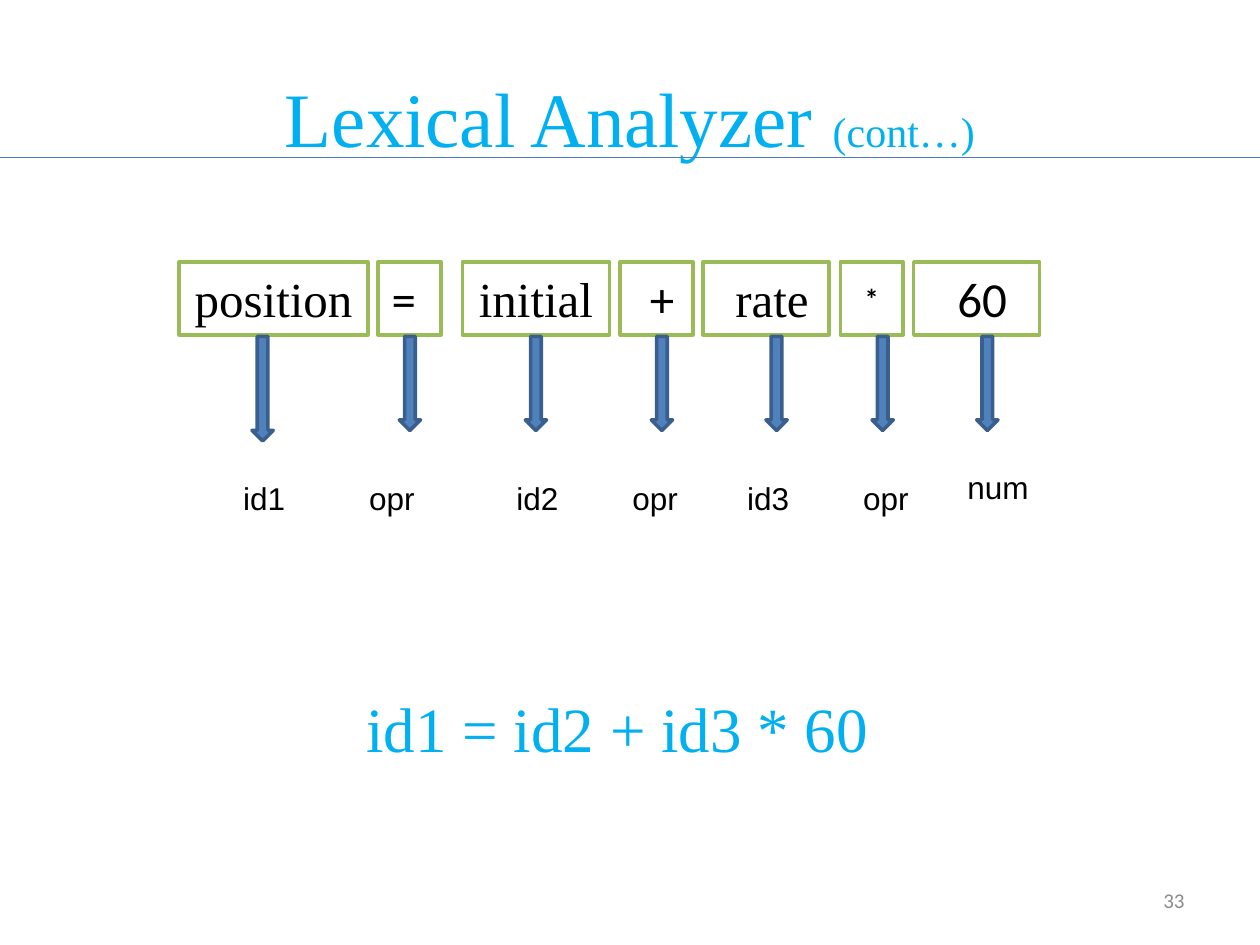
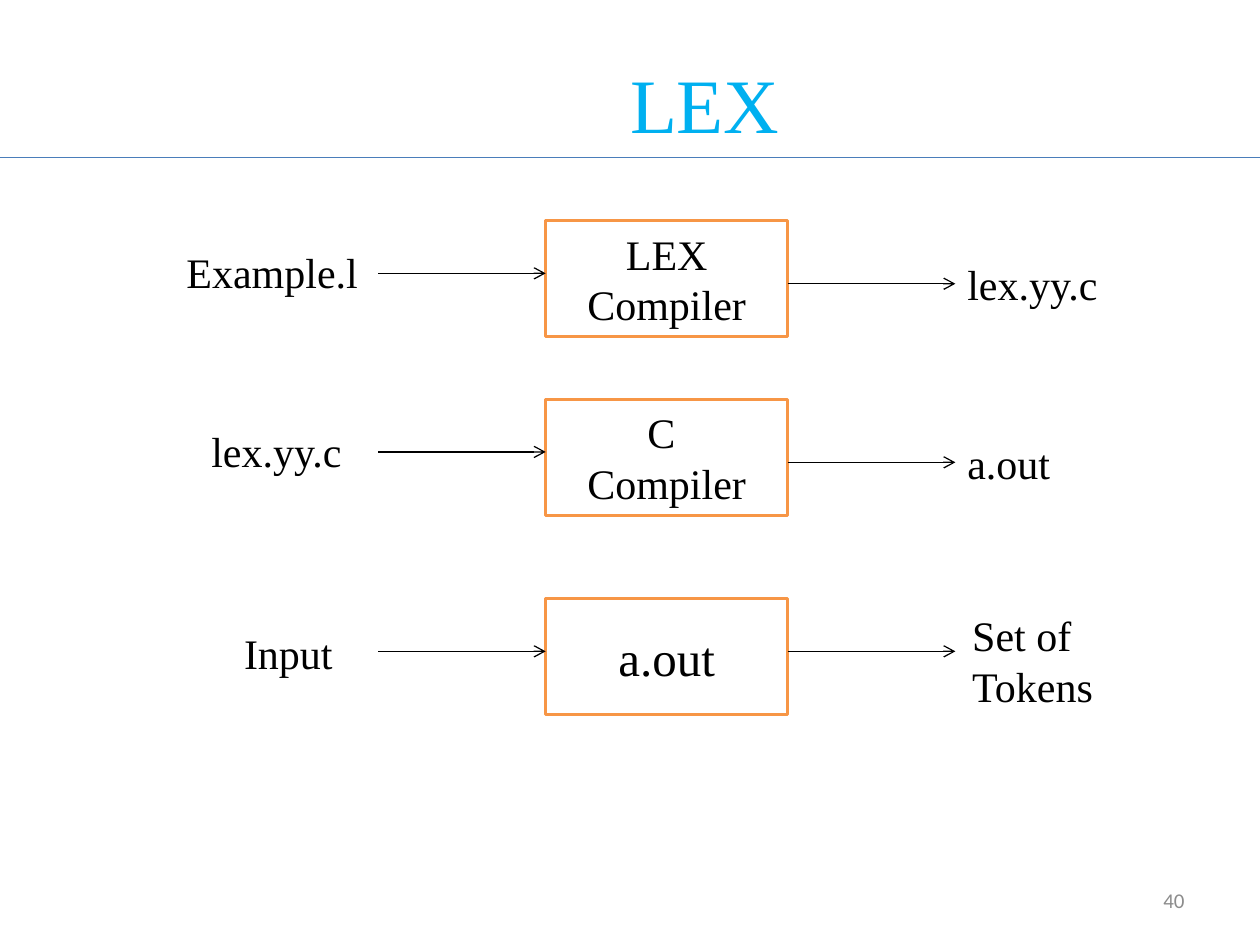
from dataclasses import dataclass
from lxml.etree import SubElement
from pptx import Presentation
from pptx.dml.color import RGBColor
from pptx.enum.shapes import MSO_CONNECTOR as Connector, MSO_SHAPE as Preset
from pptx.enum.text import MSO_ANCHOR as Anchor, PP_ALIGN as Align
from pptx.oxml.ns import qn
from pptx.util import Cm, Pt


@dataclass(frozen=True)
class Theme:
    accent: str = "00B0F0"
    text: str = "000000"
    paper: str = "FFFFFF"
    muted: str = "8C8C8C"
    rule: str = "4A7DBA"
    token: str = "9BBB59"
    stage: str = "F79646"
    arrow: str = "4F81BD"
    arrow_edge: str = "3A5F8C"
    serif: str = "Times New Roman"
    plain: str = "Calibri"
    label: str = "Arial"
    title_size: int = 44
    formula_size: int = 36
    large: int = 28
    body: int = 24
    label_size: int = 18
    number_size: int = 12
    outline: float = 2
    hairline: float = 0.75


theme = Theme()

# Content, with places in centimetres
# Tokens: text, font, box left, box width, arrow left, label, label left, label width
tokens = [
    ("position", theme.serif, 3.61, 3.81, 5.08, "id1", 4.65, 1.47),
    ("= ", theme.plain, 7.62, 1.27, 8.05, "opr", 7.19, 1.9),
    ("initial", theme.serif, 9.32, 2.97, 10.59, "id2", 10.16, 1.47),
    (" +", theme.plain, 12.5, 1.47, 13.13, "opr", 12.5, 1.47),
    (" rate", theme.serif, 14.17, 2.54, 15.44, "id3", 14.81, 1.47),
    ("*", theme.plain, 16.94, 1.27, 17.58, "opr", 17.15, 1.47),
    (" 60", theme.plain, 18.42, 2.54, 19.69, "num", 19.25, 1.9),
]
formula = " id1 = id2 + id3 * 60"

# Stages: box top, box text, text size, drop of the outgoing arrow,
# then input and output as text, left, top, width, height
stages = [
    (4.45, "LEX Compiler", theme.body, 1.27,
     ("Example.l", 3.51, 4.85, 4.24, 1.27), ("lex.yy.c", 19.25, 5.08, 3.81, 1.27)),
    (8.05, "C \nCompiler", theme.body, 1.27,
     ("lex.yy.c", 4.01, 8.46, 3.81, 1.27), ("a.out", 19.25, 8.69, 3.81, 1.27)),
    (12.07, "a.out", theme.large, 1.06,
     ("Input", 4.67, 12.52, 3.81, 1.27), ("Set of Tokens", 19.35, 12.17, 5.08, 2.31)),
]


def color(value):
    return RGBColor.from_string(value)


def style_run(run, font, size, ink):
    run.font.name, run.font.size = font, Pt(size)
    run.font.color.rgb = color(ink)


def write(shape, text, font, size, ink=theme.text, align=Align.LEFT, anchor=Anchor.TOP):
    frame = shape.text_frame
    frame.word_wrap = True
    frame.vertical_anchor = anchor
    frame.text = text
    for paragraph in frame.paragraphs:
        paragraph.alignment = align
        for run in paragraph.runs:
            style_run(run, font, size, ink)
    return shape


def add_text(slide, place, text, font, size, **options):
    box = slide.shapes.add_textbox(*map(Cm, place))
    return write(box, text, font, size, **options)


def add_block(slide, preset, place, fill, line):
    shape = slide.shapes.add_shape(preset, *map(Cm, place))
    shape.shadow.inherit = False
    shape.fill.solid()
    shape.fill.fore_color.rgb = color(fill)
    shape.line.color.rgb = color(line)
    shape.line.width = Pt(theme.outline)
    return shape


def add_box(slide, place, line, text, font, size):
    box = add_block(slide, Preset.RECTANGLE, place, theme.paper, line)
    return write(box, text, font, size, align=Align.CENTER, anchor=Anchor.MIDDLE)


def add_line(slide, left, right, y, ink, arrow=False):
    line = slide.shapes.add_connector(Connector.STRAIGHT, Cm(left), Cm(y), Cm(right), Cm(y))
    line.line.color.rgb = color(ink)
    line.line.width = Pt(theme.hairline)
    properties = line._element.spPr
    if arrow:
        SubElement(properties.find(qn("a:ln")), qn("a:tailEnd"), type="arrow")
    SubElement(properties, qn("a:effectLst"))


def add_slide(title, title_place, number):
    """Start a slide with the shared title, rule and page number."""
    slide = presentation.slides.add_slide(presentation.slide_layouts[6])
    heading = add_text(slide, title_place, title, theme.serif, theme.title_size,
                       ink=theme.accent, align=Align.CENTER, anchor=Anchor.MIDDLE)
    add_line(slide, 0, 25.4, 3.18, theme.rule)
    add_text(slide, (18.2, 17.65, 5.93, 1.01), number, theme.plain, theme.number_size,
             ink=theme.muted, align=Align.RIGHT, anchor=Anchor.MIDDLE)
    return slide, heading


presentation = Presentation()
presentation.slide_width, presentation.slide_height = Cm(25.4), Cm(19.05)

# Tokens of the statement
slide, heading = add_slide("Lexical Analyzer ", (1.27, 0.76, 22.86, 3.18), "33")
suffix = heading.text_frame.paragraphs[0].add_run()
suffix.text = "(cont…)"
style_run(suffix, theme.serif, theme.body, theme.accent)

for text, font, left, width, arrow_left, label, label_left, label_width in tokens:
    box = add_box(slide, (left, 5.28, width, 1.47), theme.token, text, font, theme.large)
    if text == "*":
        star = box.text_frame.paragraphs[0].runs[0].font
        star.bold = True
        star._element.set("baseline", "18000")
    arrow_height = 2.11 if label == "id1" else 1.9
    add_block(slide, Preset.DOWN_ARROW, (arrow_left, 6.78, 0.43, arrow_height),
              theme.arrow, theme.arrow_edge)
    label_top = 9.32 if label == "num" else 9.53
    add_text(slide, (label_left, label_top, label_width, 1.02), label,
             theme.label, theme.label_size)

add_text(slide, (5.72, 13.77, 13.13, 1.8), formula, theme.serif, theme.formula_size,
         ink=theme.accent, align=Align.CENTER)

# Stages from source file to tokens
slide, heading = add_slide("LEX ", (3.99, 0.76, 20.83, 2.62), "40")
box_left, box_width, box_height = 11, 4.88, 2.34
box_right = box_left + box_width
arrow_length = 3.38

for top, text, size, output_drop, *ends in stages:
    add_box(slide, (box_left, top, box_width, box_height), theme.stage,
            text, theme.serif, size)
    add_line(slide, box_left - arrow_length, box_left, top + 1.06, theme.text, arrow=True)
    add_line(slide, box_right, box_right + arrow_length, top + output_drop,
             theme.text, arrow=True)
    for end_text, *place in ends:
        add_text(slide, place, end_text, theme.serif, theme.body)

presentation.save("out.pptx")
